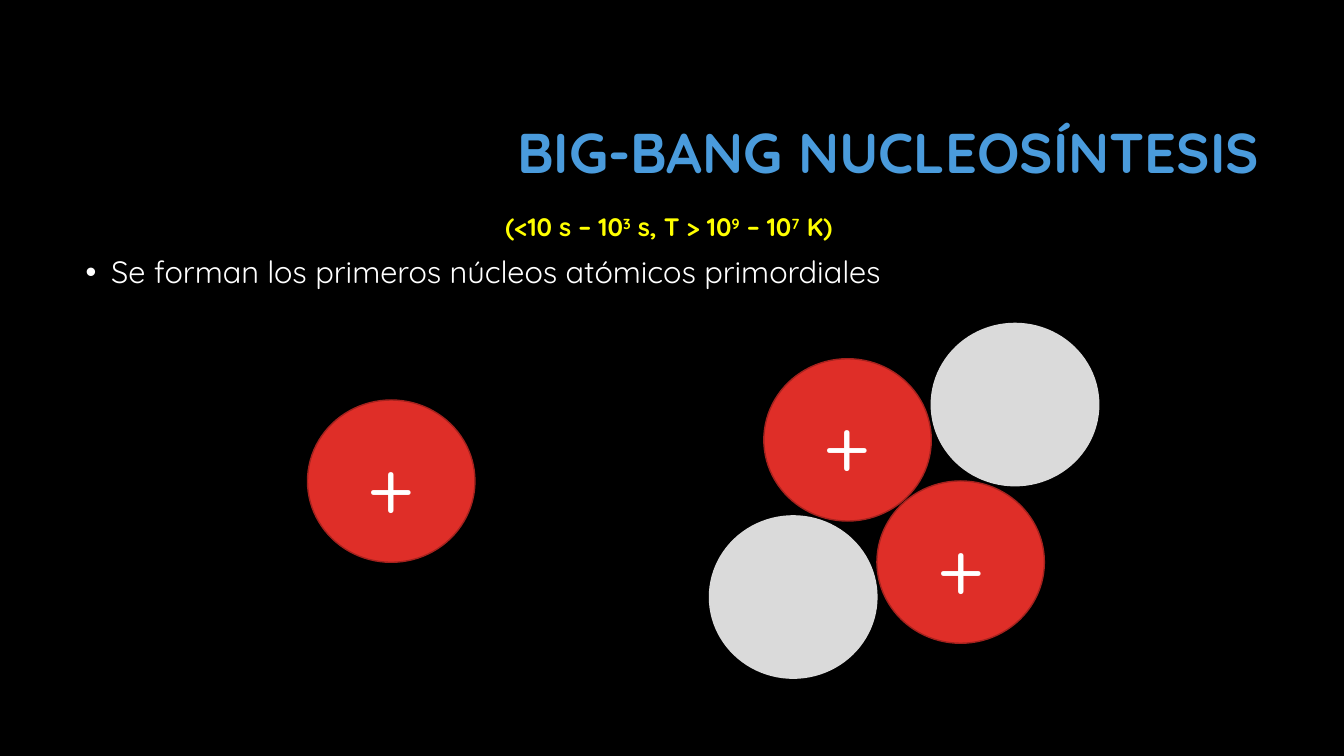
from lxml import etree
from pptx import Presentation
from pptx import util as u
from pptx.dml.color import RGBColor
from pptx.enum import shapes, text
from pptx.oxml import ns

BLACK = RGBColor(0x00, 0x00, 0x00)
WHITE = RGBColor(0xFF, 0xFF, 0xFF)
BLUE = RGBColor(0x4A, 0x9B, 0xDC)
YELLOW = RGBColor(0xFF, 0xFF, 0x00)
RED = RGBColor(0xDF, 0x2E, 0x28)
MAROON = RGBColor(0xA5, 0x22, 0x1E)
GREY = RGBColor(0xDA, 0xDA, 0xDA)

ALIGN = text.PP_ALIGN
FONT = "Quicksand"
WIDE, HIGH = 4.22, 4.09  # nucleon
SIGN_W, SIGN_H = 3.05, 2.82  # plus sign


def write(frame, words, size, color, bold=False, align=ALIGN.LEFT,
          space=None, wrap=True, anchor=text.MSO_ANCHOR.TOP, bullet=False):
    """Fill a frame with one paragraph; ^ marks start and end superscripts."""
    frame.word_wrap = wrap
    frame.auto_size = text.MSO_AUTO_SIZE.NONE
    frame.vertical_anchor = anchor
    para = frame.paragraphs[0]
    para.alignment = align
    para.line_spacing = space
    para.space_before = u.Pt(0)
    if bullet:
        props = para._p.get_or_add_pPr()
        props.set("marL", str(u.Cm(0.64)))
        props.set("indent", str(u.Cm(-0.64)))
        etree.SubElement(props, ns.qn("a:buFont")).set("typeface", "Arial")
        etree.SubElement(props, ns.qn("a:buChar")).set("char", "•")
    for i, part in enumerate(words.split("^")):
        run = para.add_run()
        run.text = part
        run.font.name = FONT
        run.font.size = u.Pt(size)
        run.font.bold = bold
        run.font.color.rgb = color
        if i % 2:
            run._r.get_or_add_rPr().set("baseline", "30000")


class Page:
    def __init__(self, deck):
        self.slide = deck.slides.add_slide(deck.slide_layouts[5])
        fill = self.slide.background.fill
        fill.solid()
        fill.fore_color.rgb = BLACK

    def title(self, words, x, y, w, h, **style):
        box = self.slide.shapes.title
        box.left, box.top, box.width, box.height = map(u.Cm, (x, y, w, h))
        write(box.text_frame, words, **style)

    def label(self, words, x, y, w, h, home=None, **style):
        home = home or self.slide
        box = home.shapes.add_textbox(*map(u.Cm, (x, y, w, h)))
        write(box.text_frame, words, **style)

    def group(self):
        return self.slide.shapes.add_group_shape()

    def ball(self, home, x, y, color, edge):
        ball = home.shapes.add_shape(shapes.MSO_SHAPE.OVAL,
                                     *map(u.Cm, (x, y, WIDE, HIGH)))
        ball.shadow.inherit = False
        ball.fill.solid()
        ball.fill.fore_color.rgb = color
        ball.line.color.rgb = edge
        ball.line.width = u.Pt(1)

    def proton(self, home, x, y):
        self.ball(home, x, y, RED, MAROON)
        self.label("+", x + (WIDE - SIGN_W) / 2, y + (HIGH - SIGN_H) / 2,
                   SIGN_W, SIGN_H, home=home, size=60, color=WHITE,
                   align=ALIGN.CENTER)

    def neutron(self, home, x, y):
        self.ball(home, x, y, GREY, GREY)


def main():
    deck = Presentation()
    deck.slide_width, deck.slide_height = u.Cm(33.87), u.Cm(19.05)
    page = Page(deck)

    # Heading and text
    page.title("BIG-BANG NUCLEOSÍNTESIS", 8.05, 2.13, 23.93, 3.58, size=40,
               color=BLUE, bold=True, align=ALIGN.RIGHT, space=0.9,
               anchor=text.MSO_ANCHOR.MIDDLE)
    page.label("Se forman los primeros núcleos atómicos primordiales",
               1.91, 6.35, 30.05, 1.17, size=22, color=WHITE, space=0.9,
               bullet=True)
    page.label("(<10 s – 10^3^ s, T > 10^9^ – 10^7^ K) ",
               12.22, 5.21, 9.45, 1.02, size=18, color=YELLOW, bold=True,
               align=ALIGN.CENTER, wrap=False)

    # Hydrogen nucleus
    page.proton(page.group(), 7.75, 10.08)

    # Helium nucleus
    helium = page.group()
    for x, y in ((19.25, 9.04), (22.1, 12.12)):
        page.proton(helium, x, y)
    for x, y in ((23.47, 8.15), (17.88, 13)):
        page.neutron(helium, x, y)

    deck.save("out.pptx")


if __name__ == "__main__":
    main()
